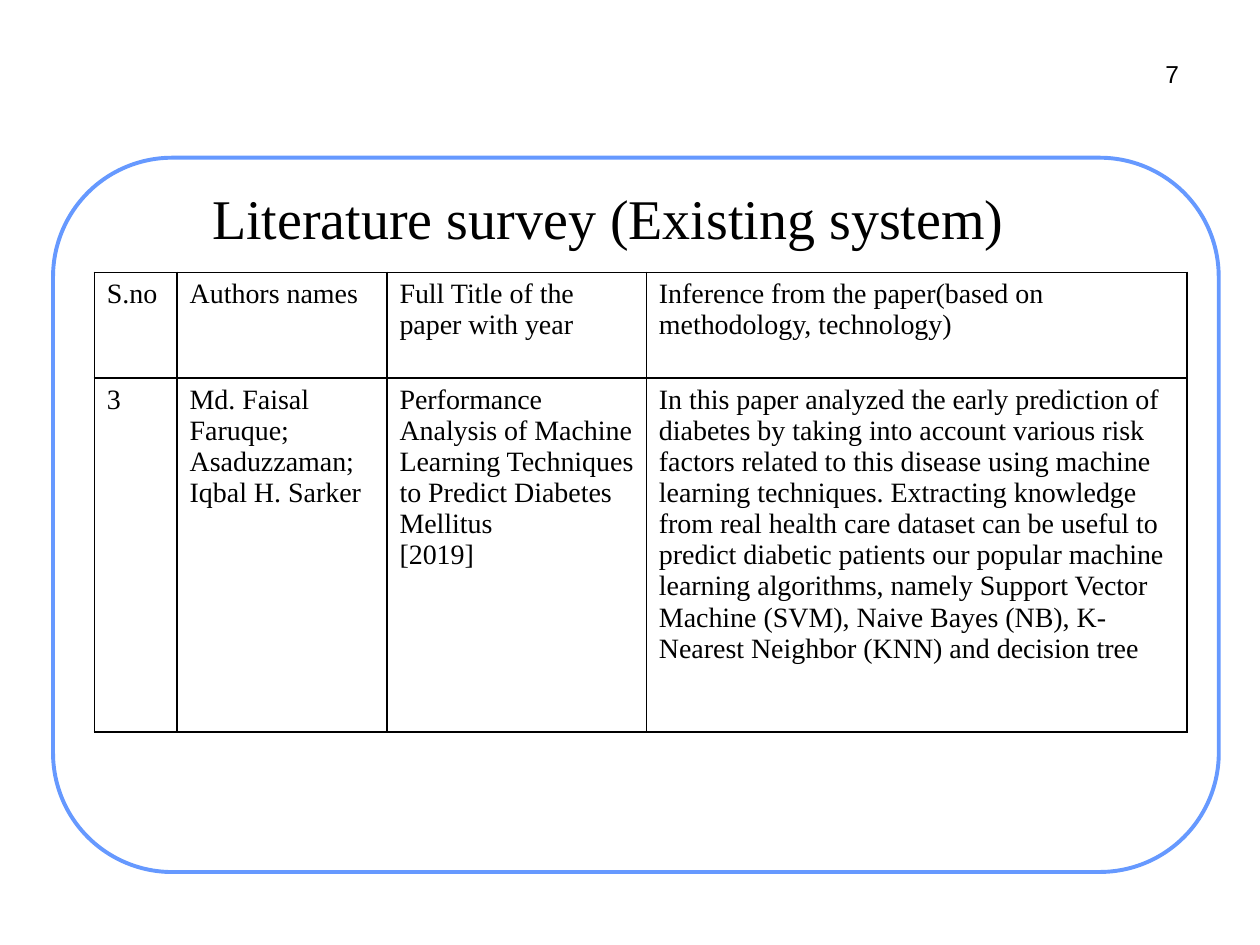
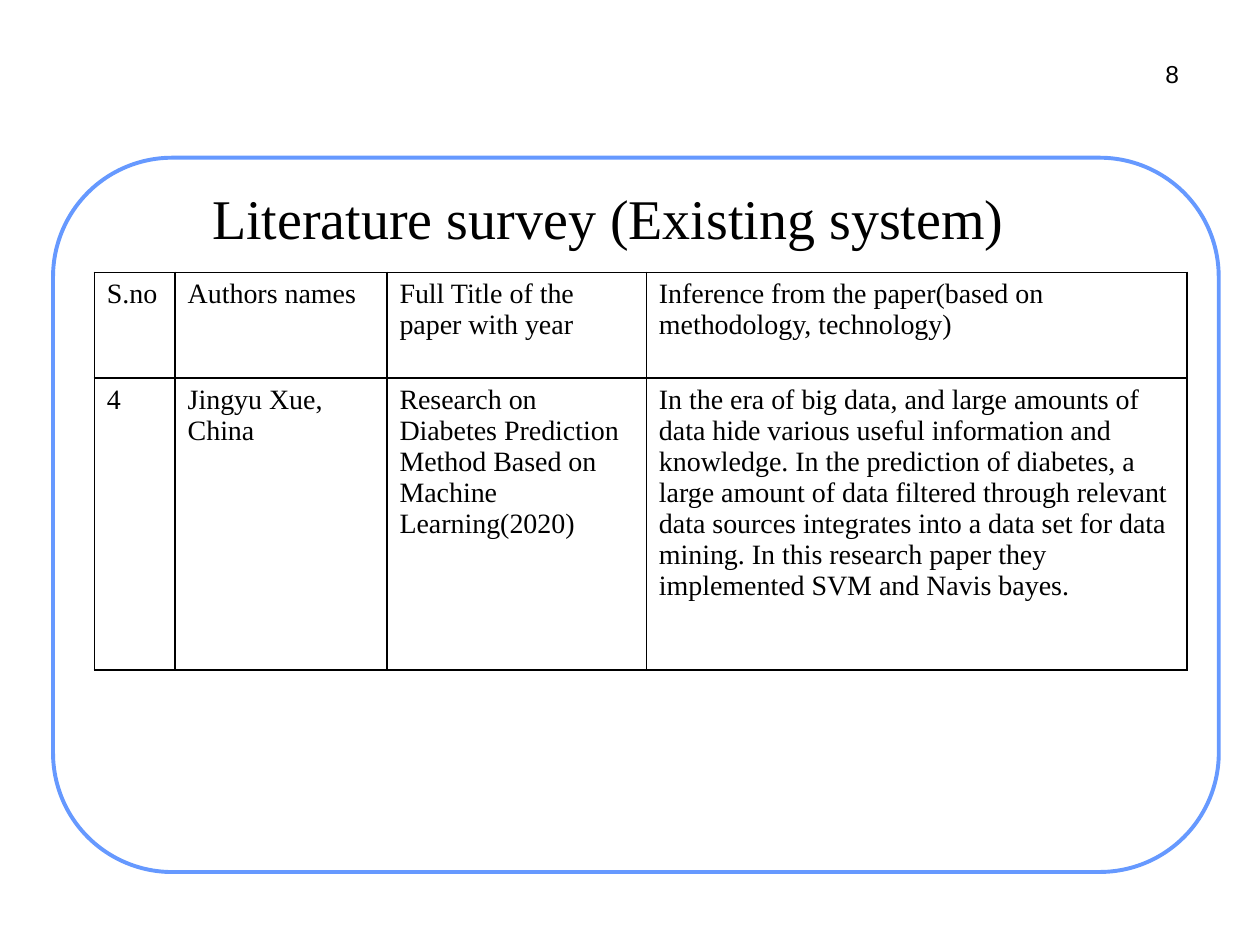
import pptx
import pptx.util
import pptx.dml.color
import pptx.enum.shapes
import pptx.enum.text
import pptx.oxml.ns
from lxml import etree

Cm, Pt = pptx.util.Cm, pptx.util.Pt
ALIGN = pptx.enum.text.PP_ALIGN
ANCHOR = pptx.enum.text.MSO_ANCHOR

COLOURS = {"paper": "FFFFFF", "ink": "000000", "frame": "6699FF"}
SERIF, SANS = "Times New Roman", "Arial"
TITLE = "Literature survey (Existing system)"
HEADINGS = ["S.no", "Authors names", "Full Title of the paper with year",
            "Inference from the paper(based on methodology, technology)"]


def colour(name):
    """Return the named colour of the palette."""
    return pptx.dml.color.RGBColor.from_string(COLOURS[name])


class Deck:
    """The survey's style and its current slide."""

    def __init__(self):
        """Start an empty 4:3 presentation."""
        self.file = pptx.Presentation()
        self.file.slide_width, self.file.slide_height = Cm(25.4), Cm(19.05)
        self.slide = None

    def start_slide(self, number):
        """Add a slide with the shared frame, page number and title."""
        self.slide = self.file.slides.add_slide(self.file.slide_layouts[6])
        background = self.slide.background.fill
        background.solid()
        background.fore_color.rgb = colour("paper")
        self.frame()
        self.text(str(number), 23.34, 1.07, 0.56, 0.81, 14, SANS,
                  ALIGN.RIGHT, wrap=False)
        self.text(TITLE, 2.74, 3.25, 19.05, 2.24, 32, SERIF,
                  ALIGN.CENTER, anchor=ANCHOR.MIDDLE)

    def frame(self):
        """Draw the rounded outline around the content."""
        outline = self.slide.shapes.add_shape(
            pptx.enum.shapes.MSO_SHAPE.ROUNDED_RECTANGLE,
            Cm(1.07), Cm(3.18), Cm(23.5), Cm(14.4))
        outline.shadow.inherit = False
        outline.fill.solid()
        outline.fill.fore_color.rgb = colour("paper")
        outline.line.color.rgb = colour("frame")
        outline.line.width = Pt(2.25)

    def format_runs(self, text_frame, size, font):
        """Give every run the size, font and ink colour."""
        for paragraph in text_frame.paragraphs:
            for run in paragraph.runs:
                run.font.size, run.font.name = Pt(size), font
                run.font.color.rgb = colour("ink")

    def text(self, words, left, top, width, height, size, font, align,
             anchor=ANCHOR.TOP, wrap=True):
        """Place one line of text; lengths are in centimetres."""
        box = self.slide.shapes.add_textbox(Cm(left), Cm(top), Cm(width), Cm(height))
        body = box.text_frame
        body.text = words
        body.word_wrap, body.vertical_anchor = wrap, anchor
        body.margin_left = body.margin_right = Cm(0.13)
        body.margin_top = body.margin_bottom = Cm(0.13)
        body.paragraphs[0].alignment = align
        self.format_runs(body, size, font)

    def cell_borders(self, cell):
        """Rule all four sides of a cell."""
        properties = cell._tc.get_or_add_tcPr()
        for side in ("a:lnL", "a:lnR", "a:lnT", "a:lnB"):
            rule = etree.SubElement(properties, pptx.oxml.ns.qn(side), w=str(Pt(1)))
            fill = etree.SubElement(rule, pptx.oxml.ns.qn("a:solidFill"))
            etree.SubElement(fill, pptx.oxml.ns.qn("a:srgbClr"), val=COLOURS["ink"])

    def survey_table(self, paper, number_width, paper_height):
        """Set one surveyed paper under the shared headings."""
        widths = [number_width, 5.9 - number_width, 5.23, 10.9]
        heights = [2.13, paper_height]
        table = self.slide.shapes.add_table(
            2, len(HEADINGS), Cm(1.9), Cm(5.49),
            Cm(sum(widths)), Cm(sum(heights))).table
        table.first_row = table.horz_banding = False
        for column, width in zip(table.columns, widths):
            column.width = Cm(width)
        for row, height, entries in zip(table.rows, heights, (HEADINGS, paper)):
            row.height = Cm(height)
            for cell, entry in zip(row.cells, entries):
                cell.text_frame.text = entry
                self.format_runs(cell.text_frame, 16, SERIF)
                self.cell_borders(cell)
                cell.fill.background()


deck = Deck()

deck.start_slide(7)
deck.survey_table(
    ["3", "Md. Faisal Faruque; Asaduzzaman; Iqbal H. Sarker",
     "Performance Analysis of Machine Learning Techniques to Predict "
     "Diabetes Mellitus\n[2019]",
     "In this paper analyzed the early prediction of diabetes by taking into "
     "account various risk factors related to this disease using machine "
     "learning techniques. Extracting knowledge from real health care dataset "
     "can be useful to predict diabetic patients our popular machine learning "
     "algorithms, namely Support Vector Machine (SVM), Naive Bayes (NB), "
     "K-Nearest Neighbor (KNN) and decision tree"],
    number_width=1.67, paper_height=7.14)

deck.start_slide(8)
deck.survey_table(
    ["4", "Jingyu Xue, China",
     "Research on Diabetes Prediction Method Based on Machine Learning(2020)",
     "In the era of big data, and large amounts of data hide various useful "
     "information and knowledge. In the prediction of diabetes, a large amount "
     "of data filtered through relevant data sources integrates into a data set "
     "for data mining. In this research paper they implemented SVM and Navis "
     "bayes."],
    number_width=1.63, paper_height=5.89)

deck.file.save("out.pptx")
